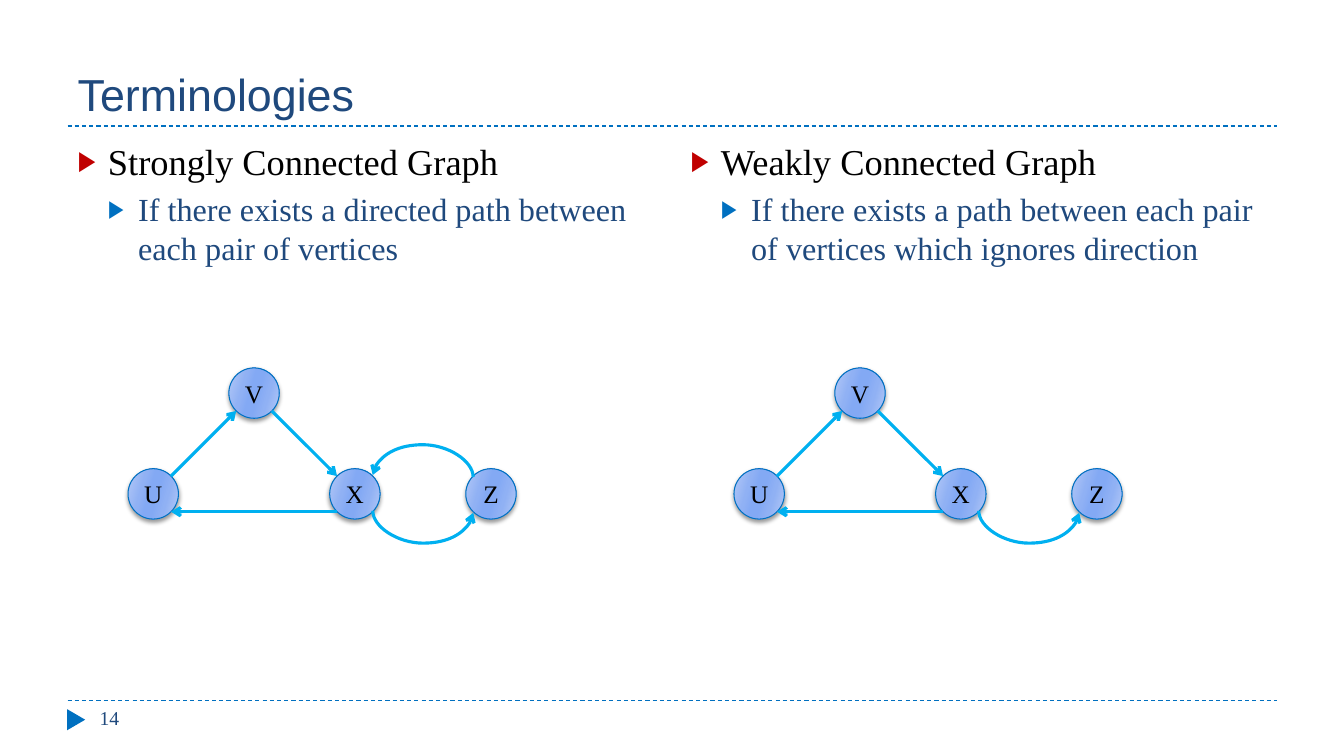
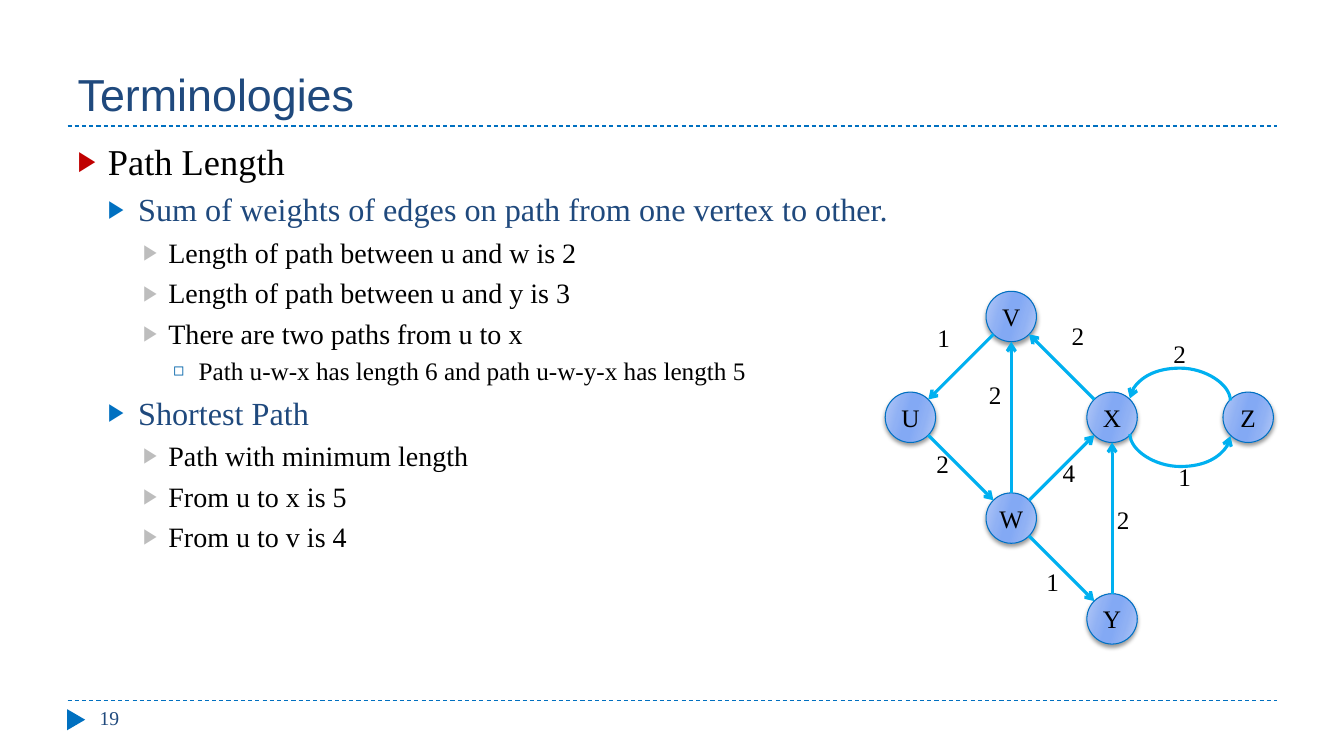
from collections import namedtuple
from math import sqrt

from lxml.etree import SubElement
from pptx import Presentation
from pptx.dml.color import RGBColor
from pptx.enum.dml import MSO_LINE
from pptx.enum.shapes import MSO_CONNECTOR as CONNECTOR, MSO_SHAPE as SHAPE
from pptx.enum.text import MSO_ANCHOR as ANCHOR, MSO_AUTO_SIZE as AUTO_SIZE, PP_ALIGN as ALIGN
from pptx.oxml.ns import qn
from pptx.util import Inches, Pt

BLACK = RGBColor(0x00, 0x00, 0x00)
NAVY = RGBColor(0x1F, 0x49, 0x7D)
BLUE = RGBColor(0x00, 0x70, 0xC0)
DEEP_BLUE = RGBColor(0x00, 0x63, 0xA9)
SKY = RGBColor(0x00, 0xB0, 0xF0)
RED = RGBColor(0xC0, 0x00, 0x00)
GRAY = RGBColor(0xBD, 0xBD, 0xBD)
NODE_EDGE = RGBColor(0xB4, 0xC9, 0xF6)
NODE_MID = RGBColor(0x90, 0xB1, 0xF4)
NODE_CORE = RGBColor(0x83, 0xA9, 0xF4)
NODE_STOPS = [(0, NODE_EDGE), (30, NODE_MID), (45, NODE_CORE),
              (55, NODE_CORE), (73, NODE_MID), (100, NODE_EDGE)]

HEADING_FONT = "Arial"
BODY_FONT = "Times New Roman"

Level = namedtuple("Level", "size color bullet bullet_color bullet_size margin hanging before")
LEVELS = [
    Level(26, BLACK, "▶", RED, 76, 0.3, 0.3, 6),
    Level(23, NAVY, "▶", BLUE, 76, 0.6, 0.3, 5),
    Level(20, BLACK, "▶", GRAY, 76, 0.9, 0.25, 5),
    Level(18, BLACK, "◻", DEEP_BLUE, 70, 1.2, 0.25, 4),
]

RADIUS = 0.25
CORNER = RADIUS / sqrt(2)
BULGE = 0.32
CURVE_DEPTH = 0.02
VERTICES = {"U": (0, 0), "V": (1, -1), "X": (2, 0), "Z": (3.35, 0), "W": (1, 1), "Y": (2, 2)}


def add_element(parent, tag, **attributes):
    """Append a DrawingML child and return it."""
    return SubElement(parent, qn(tag), {name: str(value) for name, value in attributes.items()})


def write(paragraph, text, size=18, color=BLACK, font=BODY_FONT, align=ALIGN.LEFT):
    """Put formatted text in a paragraph."""
    paragraph.text = text
    paragraph.alignment = align
    paragraph.font.size = Pt(size)
    paragraph.font.name = font
    paragraph.font.color.rgb = color


def place(shape, left, top, width, height):
    """Move and size a shape in inches."""
    shape.left, shape.top = Inches(left), Inches(top)
    shape.width, shape.height = Inches(width), Inches(height)


def sign(value):
    """Return -1, 0 or 1."""
    return (value > 0) - (value < 0)


class Deck:
    """Hold the shared style and the current slide."""

    def __init__(self):
        """Start an empty widescreen presentation."""
        self.presentation = Presentation()
        self.presentation.slide_width = Inches(13.33)
        self.presentation.slide_height = Inches(7.5)
        self.slide = None

    def add_slide(self, layout, title, number):
        """Add a slide with its title, rules and page number."""
        self.slide = self.presentation.slides.add_slide(self.presentation.slide_layouts[layout])
        for y in (6.95, 1.25):
            self.line(self.slide.shapes, (0.67, y), (12.67, y), BLUE, 0.75).line.dash_style = MSO_LINE.DASH
        marker = self.slide.shapes.add_shape(
            SHAPE.ISOSCELES_TRIANGLE, Inches(0.65), Inches(7.05), Inches(0.21), Inches(0.18))
        marker.rotation = 90
        marker.shadow.inherit = False
        marker.fill.solid()
        marker.fill.fore_color.rgb = BLUE
        marker.line.fill.background()
        heading = self.slide.shapes.title
        place(heading, 0.67, 0.25, 12, 1)
        heading.text_frame.auto_size = AUTO_SIZE.NONE
        heading.text_frame.vertical_anchor = ANCHOR.BOTTOM
        write(heading.text_frame.paragraphs[0], title, size=32, color=NAVY, font=HEADING_FONT)
        self.label(self.slide.shapes, number, (0.89, 6.95), width=2.89, size=14, color=NAVY)

    def bullets(self, index, left, width, items):
        """Fill a body placeholder with (level, text) items."""
        body = self.slide.placeholders[index]
        place(body, left, 1.33, width, 5.4)
        frame = body.text_frame
        frame.auto_size = AUTO_SIZE.NONE
        for position, (depth, text) in enumerate(items):
            level = LEVELS[depth]
            paragraph = frame.add_paragraph() if position else frame.paragraphs[0]
            paragraph.level = depth
            properties = paragraph._p.get_or_add_pPr()
            properties.set("marL", str(Inches(level.margin)))
            properties.set("indent", str(-Inches(level.hanging)))
            color = add_element(properties, "a:buClr")
            add_element(color, "a:srgbClr", val=level.bullet_color)
            add_element(properties, "a:buSzPct", val=level.bullet_size * 1000)
            add_element(properties, "a:buFont", typeface=HEADING_FONT)
            add_element(properties, "a:buChar", char=level.bullet)
            paragraph.space_before = Pt(level.before if position else 0)
            write(paragraph, text, size=level.size, color=level.color)

    def label(self, shapes, text, corner, width=0.33, **text_format):
        """Add a small text box."""
        left, top = corner
        box = shapes.add_textbox(Inches(left), Inches(top), Inches(width), Inches(0.4))
        box.text_frame.word_wrap = False
        write(box.text_frame.paragraphs[0], text, **text_format)

    def line(self, shapes, begin, end, color, width, kind=CONNECTOR.STRAIGHT):
        """Add a connector without shadow."""
        points = [Inches(value) for value in (*begin, *end)]
        connector = shapes.add_connector(kind, *points)
        connector.line.color.rgb = color
        connector.line.width = Pt(width)
        add_element(connector.element.spPr, "a:effectLst")
        return connector

    def arrow(self, shapes, begin, end, kind=CONNECTOR.STRAIGHT):
        """Add a graph edge with an arrowhead at its end."""
        connector = self.line(shapes, begin, end, SKY, 2.25, kind)
        add_element(connector.element.spPr.find(qn("a:ln")), "a:tailEnd", type="arrow")
        return connector

    def vertex(self, shapes, name, center):
        """Add a shaded circle with a letter."""
        x, y = center
        circle = shapes.add_shape(SHAPE.OVAL, Inches(x - RADIUS), Inches(y - RADIUS),
                                  Inches(2 * RADIUS), Inches(2 * RADIUS))
        circle.fill.gradient()
        circle.fill.gradient_angle = 344
        stops = circle.element.spPr.find(qn("a:gradFill")).find(qn("a:gsLst"))
        for stop in list(stops):
            stops.remove(stop)
        for percent, color in NODE_STOPS:
            stop = add_element(stops, "a:gs", pos=percent * 1000)
            add_element(stop, "a:srgbClr", val=color)
        circle.line.color.rgb = BLUE
        circle.line.width = Pt(0.75)
        circle.shadow.inherit = False
        shadow = add_element(circle.element.spPr.find(qn("a:effectLst")), "a:outerShdw",
                             blurRad=Pt(3), dist=Pt(2), dir=90 * 60000, rotWithShape=0)
        add_element(add_element(shadow, "a:srgbClr", val=BLACK), "a:alpha", val=40000)
        circle.text_frame.word_wrap = False
        circle.text_frame.vertical_anchor = ANCHOR.MIDDLE
        write(circle.text_frame.paragraphs[0], name, align=ALIGN.CENTER)

    def edge(self, shapes, begin, end):
        """Join two centers by a straight arrow; level ones run along the lower corners."""
        (x1, y1), (x2, y2) = begin, end
        across, down = sign(x2 - x1), sign(y2 - y1)
        reach = CORNER if across else RADIUS
        start_y = y1 + (down or 1) * reach
        end_y = y2 - (down or -1) * reach
        self.arrow(shapes, (x1 + across * reach, start_y), (x2 - across * reach, end_y))

    def curved_edge(self, shapes, begin, end):
        """Join two level centers by an arc, below when it runs right and above when left."""
        (x1, y), (x2, _) = begin, end
        direction = sign(x2 - x1)
        half_span = abs(x2 - x1) / 2 - CORNER
        x, y = (x1 + x2) / 2, y + direction * CORNER
        half_depth = CURVE_DEPTH / 2
        connector = self.arrow(shapes, (x + half_depth, y - half_span),
                               (x - half_depth, y + half_span), CONNECTOR.CURVE)
        properties = connector.element.spPr
        turn = 270 if direction > 0 else 90
        properties.find(qn("a:xfrm")).set("rot", str(turn * 60000))
        adjustments = properties.find(qn("a:prstGeom")).find(qn("a:avLst"))
        add_element(adjustments, "a:gd", name="adj1", fmla=f"val {round(BULGE / CURVE_DEPTH * 100000)}")

    def graph(self, left, top, names, edges, curves, weights=()):
        """Draw a grouped graph whose vertex U has the given top left corner."""
        shapes = self.slide.shapes.add_group_shape().shapes
        centers = {name: (left + RADIUS + VERTICES[name][0], top + RADIUS + VERTICES[name][1])
                   for name in names}
        for name, center in centers.items():
            self.vertex(shapes, name, center)
        for begin, end in edges:
            self.edge(shapes, centers[begin], centers[end])
        for begin, end in curves:
            self.curved_edge(shapes, centers[begin], centers[end])
        for weight, corner in weights:
            self.label(shapes, weight, corner)


def main():
    """Build and save both slides."""
    deck = Deck()

    deck.add_slide(3, "Terminologies", "14")
    deck.bullets(1, 0.67, 5.89, [
        (0, "Strongly Connected Graph"),
        (1, "If there exists a directed path between each pair of vertices"),
    ])
    deck.bullets(2, 6.75, 5.89, [
        (0, "Weakly Connected Graph"),
        (1, "If there exists a path between each pair of vertices which ignores direction"),
    ])
    for left, curves in ((1.27, ["XZ", "ZX"]), (7.28, ["XZ"])):
        deck.graph(left, 4.65, "XUVZ", ["UV", "XU", "VX"], curves)

    deck.add_slide(1, "Terminologies", "19")
    deck.bullets(1, 0.67, 12, [
        (0, "Path Length"),
        (1, "Sum of weights of edges on path from one vertex to other."),
        (2, "Length of path between u and w is 2"),
        (2, "Length of path between u and y is 3"),
        (2, "There are two paths from u to x"),
        (3, "Path u-w-x has length 6 and path u-w-y-x has length 5"),
        (1, "Shortest Path"),
        (2, "Path with minimum length"),
        (2, "From u to x is 5"),
        (2, "From u to v is 4"),
    ])
    deck.graph(8.78, 3.89, "XUVWZY", ["VU", "UW", "WX", "XV", "WV", "WY", "YX"], ["XZ", "ZX"], [
        ("1", (9.2, 3.15)), ("2", (9.19, 4.4)), ("2", (10.53, 3.13)),
        ("4", (10.44, 4.49)), ("2", (9.71, 3.71)), ("1", (10.28, 5.57)),
        ("2", (10.98, 4.95)), ("2", (11.54, 3.31)), ("1", (11.59, 4.53)),
    ])

    deck.presentation.save("out.pptx")


if __name__ == "__main__":
    main()
